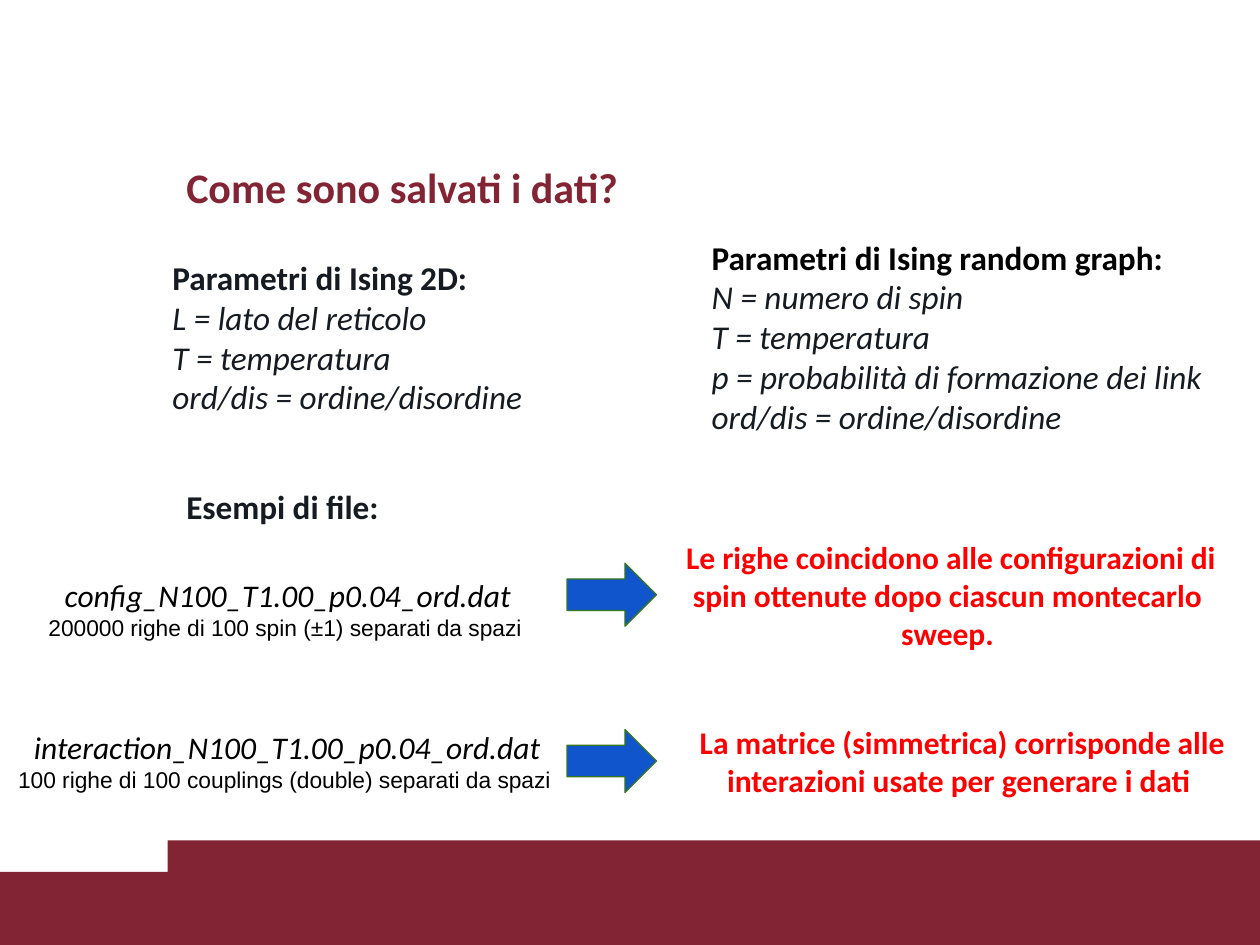
from dataclasses import dataclass

from pptx import Presentation
from pptx.dml.color import RGBColor
from pptx.enum.shapes import MSO_SHAPE
from pptx.enum.text import MSO_ANCHOR, PP_ALIGN
from pptx.util import Inches, Pt

COLORS = {
    "maroon": "822433",
    "ink": "161B22",
    "black": "000000",
    "red": "FF0000",
    "blue": "1155CC",
    "green": "38761D",
}


@dataclass(frozen=True)
class Line:
    """One paragraph and its format."""
    text: str
    size: float = 19
    color: str = "ink"
    bold: bool = False
    italic: bool = False
    font: str = "Calibri"


@dataclass(frozen=True)
class TextBlock:
    """A text box: left, top, width and height in inches, and its lines."""
    place: tuple[float, float, float, float]
    lines: tuple[Line, ...]
    centered: bool = False
    inset: float = 0.1


def add_line(para, text: str, *, size: float, color: str, bold: bool,
             italic: bool, font: str) -> None:
    """Write formatted text into a paragraph."""
    span = para.add_run()
    span.text = text
    span.font.size = Pt(size)
    span.font.name = font
    span.font.bold = bold
    span.font.italic = italic
    span.font.color.rgb = RGBColor.from_string(COLORS[color])


def add_block(page, block: TextBlock) -> None:
    """Draw a text box with one paragraph per line."""
    box = page.shapes.add_textbox(*map(Inches, block.place))
    frame = box.text_frame
    frame.word_wrap = True
    frame.vertical_anchor = MSO_ANCHOR.TOP
    frame.margin_left = frame.margin_right = Inches(0.1)
    frame.margin_top = frame.margin_bottom = Inches(block.inset)
    for index, line in enumerate(block.lines):
        para = frame.add_paragraph() if index else frame.paragraphs[0]
        para.alignment = PP_ALIGN.CENTER if block.centered else PP_ALIGN.LEFT
        add_line(para, line.text, size=line.size, color=line.color,
                 bold=line.bold, italic=line.italic, font=line.font)


def add_solid(page, kind: MSO_SHAPE, place: tuple[float, float, float, float],
              fill: str, outline: str | None = None) -> None:
    """Draw a filled preset shape, outlined when a colour is given."""
    shape = page.shapes.add_shape(kind, *map(Inches, place))
    shape.shadow.inherit = False
    shape.fill.solid()
    shape.fill.fore_color.rgb = RGBColor.from_string(COLORS[fill])
    if outline:
        shape.line.color.rgb = RGBColor.from_string(COLORS[outline])
        shape.line.width = Pt(0.75)
    else:
        shape.line.fill.background()


def parameters(heading: str, color: str, *items: str) -> tuple[Line, ...]:
    """Return a bold heading followed by italic definitions."""
    return (Line(heading, color=color, bold=True),
            *(Line(item, italic=True) for item in items))


def data_file(name: str, content: str) -> tuple[Line, ...]:
    """Return a file name and the description of its content."""
    return (Line(name, size=18, color="black", italic=True),
            Line(content, size=13, color="black", font="Arial"))


def remark(text: str) -> tuple[Line, ...]:
    """Return a red explanation."""
    return (Line(text, size=18, color="red", bold=True),)


FOOTER_BANDS = ((0, 6.92, 10, 0.58), (1.33, 6.67, 8.67, 0.83))
ARROW_TOPS = (4.47, 5.79)
BLOCKS = (
    TextBlock((1.38, 1.23, 8.11, 0.55),
              (Line("Come sono salvati i dati?", size=24, color="maroon", bold=True),),
              inset=0.05),
    TextBlock((1.27, 1.94, 3.52, 1.48), parameters(
        "Parametri di Ising 2D:", "ink", "L = lato del reticolo",
        "T = temperatura", "ord/dis = ordine/disordine")),
    TextBlock((5.55, 1.78, 4.13, 1.8), parameters(
        "Parametri di Ising random graph:", "black", "N = numero di spin",
        "T = temperatura", "p = probabilità di formazione dei link",
        "ord/dis = ordine/disordine")),
    TextBlock((1.38, 3.76, 1.82, 0.52), parameters("Esempi di file:", "ink")),
    TextBlock((0.28, 4.47, 4.01, 0.72), data_file(
        "config_N100_T1.00_p0.04_ord.dat",
        "200000 righe di 100 spin (±1) separati da spazi "), centered=True),
    TextBlock((5.13, 4.17, 4.78, 1.11), remark(
        " Le righe coincidono alle configurazioni di spin ottenute dopo "
        "ciascun montecarlo sweep."), centered=True),
    TextBlock((-0.04, 5.68, 4.64, 0.72), data_file(
        "interaction_N100_T1.00_p0.04_ord.dat",
        "100 righe di 100 couplings (double) separati da spazi "), centered=True),
    TextBlock((5.22, 5.64, 4.78, 0.81), remark(
        " La matrice (simmetrica) corrisponde alle interazioni usate per "
        "generare i dati"), centered=True),
)


def main() -> None:
    """Build and save the slide."""
    deck = Presentation()
    deck.slide_width, deck.slide_height = Inches(10), Inches(7.5)
    page = deck.slides.add_slide(deck.slide_layouts[6])
    for place in FOOTER_BANDS:
        add_solid(page, MSO_SHAPE.RECTANGLE, place, "maroon")
    for block in BLOCKS:
        add_block(page, block)
    for top in ARROW_TOPS:
        add_solid(page, MSO_SHAPE.RIGHT_ARROW, (4.5, top, 0.71, 0.5), "blue", "green")
    deck.save("out.pptx")


main()
